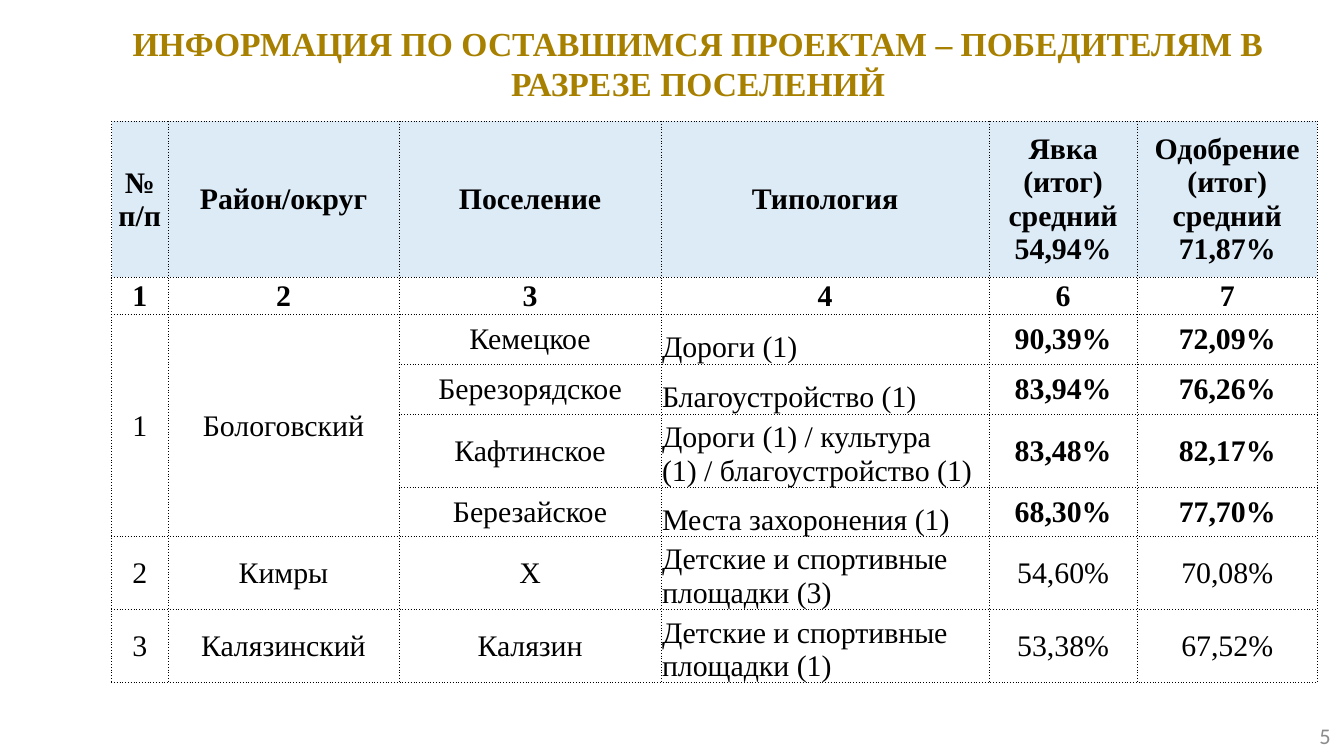
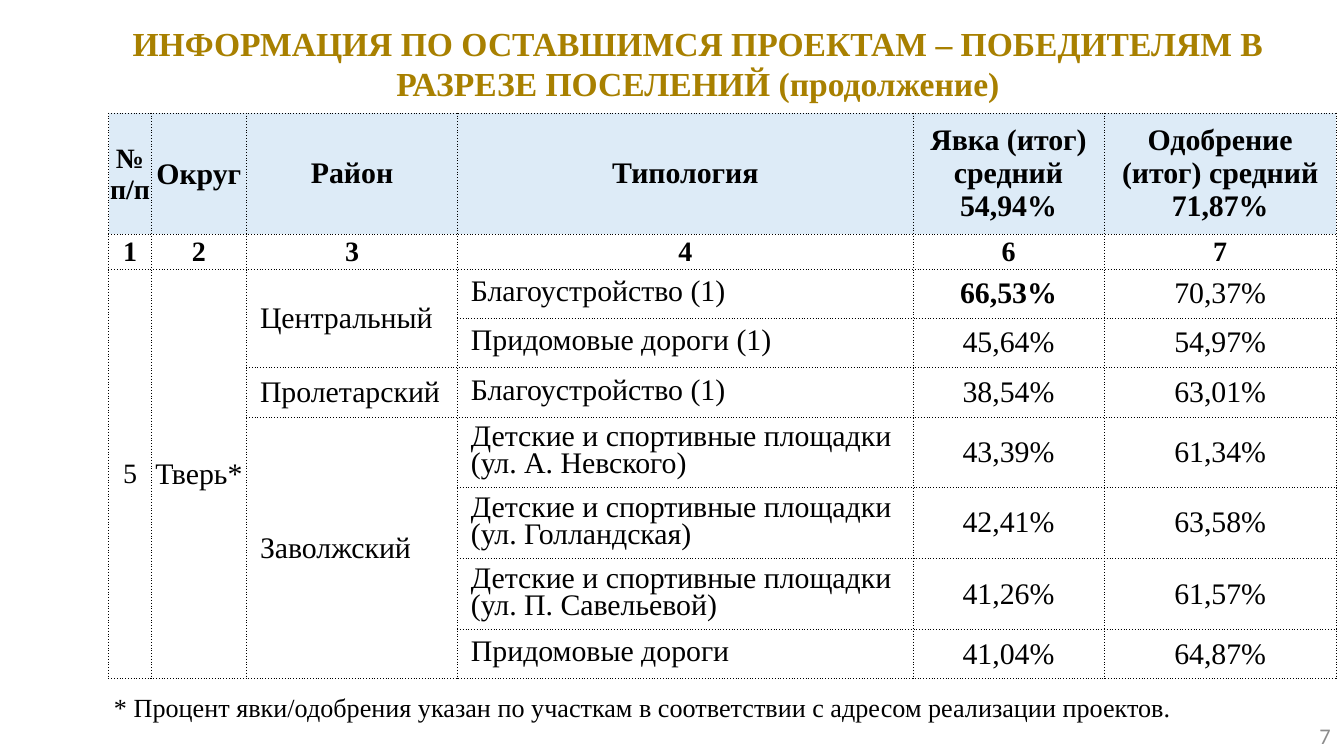
"""Builds two slides of project results by settlement."""
from dataclasses import dataclass

from lxml import etree
from pptx import Presentation
from pptx.dml.color import RGBColor
from pptx.enum.text import MSO_ANCHOR, MSO_AUTO_SIZE, PP_ALIGN
from pptx.oxml.ns import qn
from pptx.util import Inches, Pt

LEFT, CENTER, RIGHT = PP_ALIGN.LEFT, PP_ALIGN.CENTER, PP_ALIGN.RIGHT
TOP, MIDDLE, BOTTOM = MSO_ANCHOR.TOP, MSO_ANCHOR.MIDDLE, MSO_ANCHOR.BOTTOM
NO_AUTOFIT = MSO_AUTO_SIZE.NONE

WIDTH = Inches(10)
HEIGHT = WIDTH * 9 // 16
TITLE_ONLY = 5
SERIF, SANS = "Times New Roman", "Calibri"
COLORS = {
    "title": "A88000",
    "text": "000000",
    "number": "8C8C8C",
    "head": "DDEBF7",
    "body": "FFFFFF",
    "border": "000000",
}
TITLE = "ИНФОРМАЦИЯ ПО ОСТАВШИМСЯ ПРОЕКТАМ – ПОБЕДИТЕЛЯМ В РАЗРЕЗЕ ПОСЕЛЕНИЙ"
TURNOUT = "Явка (итог) средний 54,94%"
APPROVAL = "Одобрение (итог) средний 71,87%"
COLUMN_NUMBERS = ("1", "2", "3", "4", "6", "7")
PLAYGROUNDS = "Детские и спортивные площадки"


@dataclass(frozen=True)
class Box:
    """A frame in percent of the slide's width and height."""

    left: float
    top: float
    width: float
    height: float

    def lengths(self) -> tuple[int, int, int, int]:
        """Returns left, top, width and height as lengths."""
        return (across(self.left), down(self.top),
                across(self.width), down(self.height))


@dataclass(frozen=True)
class Style:
    """Look of a run of text."""

    size: float
    color: str = "text"
    bold: bool = False
    font: str = SERIF


@dataclass(frozen=True)
class Column:
    """A table column, its width in percent of the slide's width."""

    head: str
    width: float
    tight: bool = False
    align: PP_ALIGN = CENTER
    anchor: MSO_ANCHOR = MIDDLE
    spacing: float | None = None


@dataclass(frozen=True)
class Page:
    """One slide: title, table, page number and footnote."""

    title: str
    number: str
    left: float
    top: float
    columns: tuple[Column, ...]
    heights: tuple[float, ...]
    rows: tuple[tuple[str | None, ...], ...]
    bold_cells: frozenset[tuple[int, int]]
    number_size: float = 16
    note: str = ""


TITLE_BOX = Box(8.3, 2.1, 87.3, 12.63)
NUMBER_BOX = Box(76.7, 94.7, 23.3, 5.3)
NOTE_BOX = Box(7.5, 90.1, 92, 6.94)

PAGES = (
    Page(
        title=TITLE,
        number="5",
        left=8.3,
        top=16.05,
        columns=(
            Column("№ п/п", 4.2, tight=True),
            Column("Район/округ", 17.2, tight=True),
            Column("Поселение", 19.5),
            Column("Типология", 24.4, tight=True, align=LEFT, anchor=BOTTOM),
            Column(TURNOUT, 11.02),
            Column(APPROVAL, 13.4),
        ),
        heights=(20.65, 4.9, 6.62, 6.62, 9.67, 6.49, 9.67, 9.67),
        rows=(
            ("1", "Бологовский", "Кемецкое", "Дороги (1)", "90,39%", "72,09%"),
            (None, None, "Березорядское", "Благоустройство (1)", "83,94%", "76,26%"),
            (None, None, "Кафтинское", "Дороги (1) / культура (1) / благоустройство (1)",
             "83,48%", "82,17%"),
            (None, None, "Березайское", "Места захоронения (1)", "68,30%", "77,70%"),
            ("2", "Кимры", "Х", f"{PLAYGROUNDS} (3)", "54,60%", "70,08%"),
            ("3", "Калязинский", "Калязин", f"{PLAYGROUNDS} (1)", "53,38%", "67,52%"),
        ),
        bold_cells=frozenset((row, col) for row in range(2, 6) for col in (4, 5)),
    ),
    Page(
        title=f"{TITLE} (продолжение)",
        number="7",
        left=8.1,
        top=14.97,
        columns=(
            Column("№ п/п", 3.15, tight=True),
            Column("Округ", 7.1, tight=True),
            Column("Район", 15.7, align=LEFT),
            Column("Типология", 33.9, align=LEFT, spacing=0.8),
            Column(TURNOUT, 14.2),
            Column(APPROVAL, 17.3),
        ),
        heights=(16.02, 4.63, 6.49, 6.49, 6.62, 9.27, 9.4, 9.4, 6.49),
        rows=(
            ("5", "Тверь*", "Центральный", "Благоустройство (1)", "66,53%", "70,37%"),
            (None, None, None, "Придомовые дороги (1)", "45,64%", "54,97%"),
            (None, None, "Пролетарский", "Благоустройство (1)", "38,54%", "63,01%"),
            (None, None, "Заволжский", f"{PLAYGROUNDS}\v(ул. А. Невского)",
             "43,39%", "61,34%"),
            (None, None, None, f"{PLAYGROUNDS}\v(ул. Голландская)", "42,41%", "63,58%"),
            (None, None, None, f"{PLAYGROUNDS}\v(ул. П. Савельевой)", "41,26%", "61,57%"),
            (None, None, None, "Придомовые дороги", "41,04%", "64,87%"),
        ),
        bold_cells=frozenset({(2, 4)}),
        number_size=15,
        note="* Процент явки/одобрения указан по участкам в соответствии "
             "с адресом реализации проектов.",
    ),
)


def across(percent: float) -> int:
    """Turns a percentage of the slide's width into a length."""
    return round(WIDTH * percent / 100)


def down(percent: float) -> int:
    """Turns a percentage of the slide's height into a length."""
    return round(HEIGHT * percent / 100)


def write(tf, text: str, style: Style, align: PP_ALIGN, spacing: float | None = None) -> None:
    """Sets the text of a frame and formats its paragraph and runs."""
    p = tf.paragraphs[0]
    p.text = text
    p.alignment = align
    if spacing:
        p.line_spacing = spacing
    for r in p.runs:
        r.font.name = style.font
        r.font.size = Pt(style.size)
        r.font.bold = style.bold
        r.font.color.rgb = RGBColor.from_string(COLORS[style.color])


def add_label(s, box: Box, text: str, style: Style, align: PP_ALIGN) -> None:
    """Adds a text box centred vertically."""
    tf = s.shapes.add_textbox(*box.lengths()).text_frame
    tf.word_wrap = True
    tf.vertical_anchor = MIDDLE
    write(tf, text, style, align)


def set_title(s, text: str) -> None:
    """Moves and fills the title placeholder."""
    sp = s.shapes.title
    sp.left, sp.top, sp.width, sp.height = TITLE_BOX.lengths()
    tf = sp.text_frame
    tf.auto_size = NO_AUTOFIT
    tf.vertical_anchor = TOP
    write(tf, text, Style(18, "title", bold=True), CENTER)


def add_borders(cell) -> None:
    """Draws dotted lines on the four sides of a cell."""
    props = cell._tc.get_or_add_tcPr()
    for i, side in enumerate(("lnL", "lnR", "lnT", "lnB")):
        ln = etree.Element(qn(f"a:{side}"), w=str(Pt(0.5)))
        fill = etree.SubElement(ln, qn("a:solidFill"))
        etree.SubElement(fill, qn("a:srgbClr"), val=COLORS["border"])
        etree.SubElement(ln, qn("a:prstDash"), val="sysDot")
        props.insert(i, ln)


def format_cell(cell, text: str | None, row: int, col: int, page: Page) -> None:
    """Fills one cell by the rules of its row and column."""
    column = page.columns[col]
    in_head = row < 2
    if column.tight or row == 1 or text is None:
        cell.margin_left = cell.margin_top = cell.margin_right = Pt(0.5)
        cell.margin_bottom = 0
    cell.vertical_anchor = MIDDLE if in_head else column.anchor
    cell.fill.solid()
    cell.fill.fore_color.rgb = RGBColor.from_string(COLORS["body" if row else "head"])
    add_borders(cell)
    if text is not None:
        size = page.number_size if col == 0 or row == 1 else 16
        style = Style(size, bold=in_head or (row, col) in page.bold_cells)
        align = CENTER if in_head else column.align
        write(cell.text_frame, text, style, align, None if in_head else column.spacing)


def add_results(s, page: Page) -> None:
    """Adds the table; a cell without text joins the cell above it."""
    rows = (tuple(c.head for c in page.columns), COLUMN_NUMBERS, *page.rows)
    box = Box(page.left, page.top, sum(c.width for c in page.columns), sum(page.heights))
    table = s.shapes.add_table(len(rows), len(page.columns), *box.lengths()).table
    table.first_row = table.horz_banding = False
    for i, height in enumerate(page.heights):
        table.rows[i].height = down(height)
    for col, column in enumerate(page.columns):
        table.columns[col].width = across(column.width)
        start = 0
        for row, values in enumerate(rows):
            format_cell(table.cell(row, col), values[col], row, col, page)
            if values[col] is not None:
                start = row
            elif row + 1 == len(rows) or rows[row + 1][col] is not None:
                table.cell(start, col).merge(table.cell(row, col))


def add_page(prs, page: Page) -> None:
    """Adds one slide with its title, table, footnote and number."""
    s = prs.slides.add_slide(prs.slide_layouts[TITLE_ONLY])
    set_title(s, page.title)
    add_results(s, page)
    if page.note:
        add_label(s, NOTE_BOX, page.note, Style(14), LEFT)
    add_label(s, NUMBER_BOX, page.number, Style(12, "number", font=SANS), RIGHT)


def main() -> None:
    """Builds and saves the presentation."""
    prs = Presentation()
    prs.slide_width, prs.slide_height = WIDTH, HEIGHT
    for page in PAGES:
        add_page(prs, page)
    prs.save("out.pptx")


if __name__ == "__main__":
    main()
